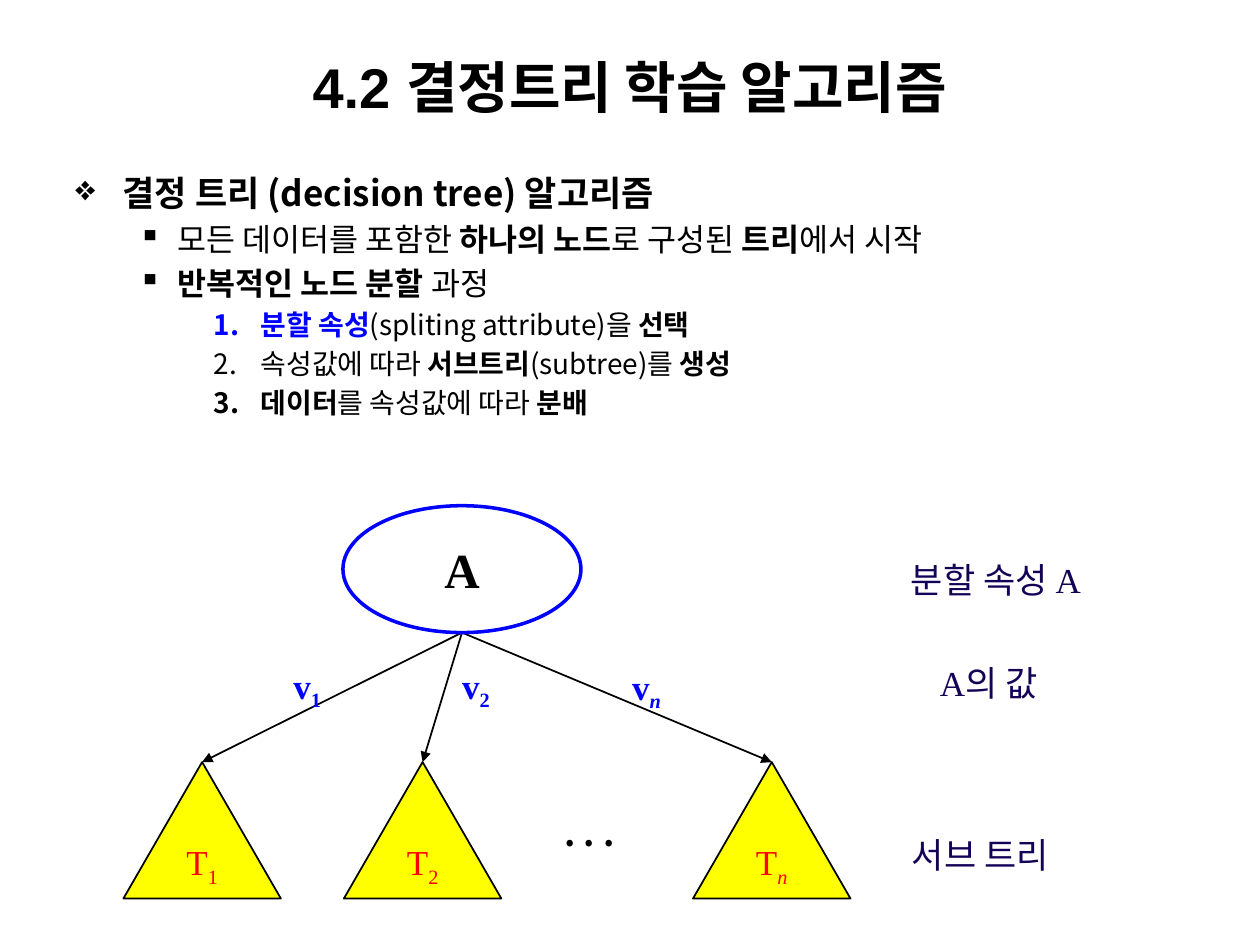
import pptx
import pptx.util
import pptx.dml.color
import pptx.enum.shapes
import pptx.enum.text
import pptx.oxml.ns
import lxml.etree

Pt = pptx.util.Pt
SHAPE = pptx.enum.shapes.MSO_SHAPE
ALIGN = pptx.enum.text.PP_ALIGN
MID = pptx.enum.text.MSO_ANCHOR.MIDDLE

# Content: *stars* mark bold text
TITLE = "4.2 결정트리 학습 알고리즘"
POINTS = [  # kind, text, colour of the first run
    ("head", "*결정 트리 (decision tree) 알고리즘*", "ink"),
    ("item", "모든 데이터를 포함한 *하나의 노드*로 구성된 *트리*에서 시작", "ink"),
    ("item", "*반복적인 노드 분할 *과정", "ink"),
    ("step", "*분할 속성*(spliting attribute)을 *선택*", "blue"),
    ("step", "속성값에 따라 *서브트리*(subtree)를 *생성*", "ink"),
    ("step", "*데이터*를 속성값에 따라 *분배*", "ink"),
]
TREES = [  # index, triangle left, label box (left, top, width)
    ("1", 70.5, (157, 376, 37)),
    ("2", 196.5, (249, 376, 46)),
    ("n", 396, (345, 376.5, 49)),
]
NOTES = [  # text, box (left, top, width), wrap
    ("분할 속성 A", (513.5, 315.5, 119), False),
    ("A의 값", (530, 374.5, 72), True),
    ("서브 트리", (514, 473, 103), False),
]
THEME = {
    "ink": "000000", "blue": "0000FF", "red": "FF0000",
    "gold": "FFFF00", "navy": "140256",
    "sans": "Noto Sans CJK KR", "serif": "Times New Roman", "top": "Arial",
    "title": 32, "root": 28, "label": 20,
}
LEVELS = {  # size, level, left margin, hanging indent, bullet tag and its value
    "head": (20, 0, 27, 27, "buChar", {"char": "❖"}),
    "item": (18, 1, 58.5, 22.5, "buChar", {"char": "▪"}),
    "step": (16, 3, 106, 27, "buAutoNum", {"type": "arabicPeriod"}),
}
OVAL = (196, 289, 136, 72.5)
TREE_TOP, TREE_W, TREE_H = 435.5, 90, 78
LABEL_H = 32


def rgb(name):
    return pptx.dml.color.RGBColor.from_string(THEME[name])


def add_sub(node, tag, **attrs):
    return lxml.etree.SubElement(node, pptx.oxml.ns.qn("a:" + tag), attrs)


def style(run, size, face, hue, bold=False):
    font = run.font
    font.size, font.name, font.bold = Pt(size), THEME[face], bold
    font.color.rgb = rgb(hue)
    add_sub(run._r.get_or_add_rPr(), "ea", typeface=THEME["sans"])


def write(shape, text, size, face, hue, bold=False, sub="", align=ALIGN.CENTER, wrap=False):
    frame = shape.text_frame
    frame.word_wrap = wrap
    para = frame.paragraphs[0]
    para.text = text
    para.alignment = align
    if sub:
        para.add_run().text = sub
    for run in para.runs:
        style(run, size, face, hue, bold)
    if sub:
        low = para.runs[-1]
        low._r.get_or_add_rPr().set("baseline", "-25000")
        low.font.italic = sub.isalpha()


def add_box(slide, left, top, width, height=LABEL_H):
    return slide.shapes.add_textbox(Pt(left), Pt(top), Pt(width), Pt(height))


def add_node(slide, kind, box, hue, weight, fill=None):
    node = slide.shapes.add_shape(kind, *map(Pt, box))
    node.shadow.inherit = False
    if fill:
        node.fill.solid()
        node.fill.fore_color.rgb = rgb(fill)
    else:
        node.fill.background()
    node.line.color.rgb = rgb(hue)
    node.line.width = Pt(weight)
    node.text_frame.vertical_anchor = MID
    return node


def add_point(para, kind, text, hue):
    size, level, left, hang, tag, value = LEVELS[kind]
    para.level = level
    props = para._p.get_or_add_pPr()
    props.set("marL", str(Pt(left)))
    props.set("indent", str(-Pt(hang)))
    add_sub(add_sub(props, "spcBef"), "spcPct", val="20000")
    add_sub(props, tag, **value)
    for spot, part in enumerate(text.split("*")):
        if part:
            run = para.add_run()
            run.text = part
            style(run, size, "sans", hue, spot % 2 == 1)
            hue = "ink"


def add_arrow(slide, start, tree):
    line = slide.shapes.add_connector(
        pptx.enum.shapes.MSO_CONNECTOR.STRAIGHT, *map(Pt, start), *map(Pt, start))
    line.end_connect(tree, 0)
    line.line.color.rgb = rgb("ink")
    line.line.width = Pt(1)
    add_sub(line.line._get_or_add_ln(), "tailEnd", type="triangle")
    add_sub(line._element.spPr, "effectLst")


def main():
    deck = pptx.Presentation()
    deck.slide_width, deck.slide_height = Pt(720), Pt(540)
    slide = deck.slides.add_slide(deck.slide_layouts[6])

    # Title
    head = add_box(slide, 36, 21.5, 648, 55.5)
    head.text_frame.vertical_anchor = MID
    write(head, TITLE, THEME["title"], "top", "ink", True, wrap=True)

    # Outline
    frame = add_box(slide, 36, 94.5, 648, 420).text_frame
    frame.word_wrap = True
    for spot, point in enumerate(POINTS):
        add_point(frame.add_paragraph() if spot else frame.paragraphs[0], *point)

    # Root and its subtrees
    size = THEME["label"]
    left, top, width, height = OVAL
    foot = (left + width / 2, top + height)
    for sub, x, spot in TREES:
        tree = add_node(slide, SHAPE.ISOSCELES_TRIANGLE,
                        (x, TREE_TOP, TREE_W, TREE_H), "ink", 1, "gold")
        write(tree, "T", size, "serif", "red", sub=sub)
        add_arrow(slide, foot, tree)
        write(add_box(slide, *spot), "v", size, "serif", "blue", True, sub, wrap=True)
    root = add_node(slide, SHAPE.OVAL, OVAL, "blue", 2)
    write(root, "A", THEME["root"], "serif", "ink", True)
    write(add_box(slide, 315.5, 460, 44.5), ". . .", size, "sans", "ink", True,
          align=ALIGN.LEFT)

    # Notes on each tier
    for text, spot, wrap in NOTES:
        write(add_box(slide, *spot), text, size, "serif", "navy",
              align=ALIGN.LEFT, wrap=wrap)

    deck.save("out.pptx")


if __name__ == "__main__":
    main()
